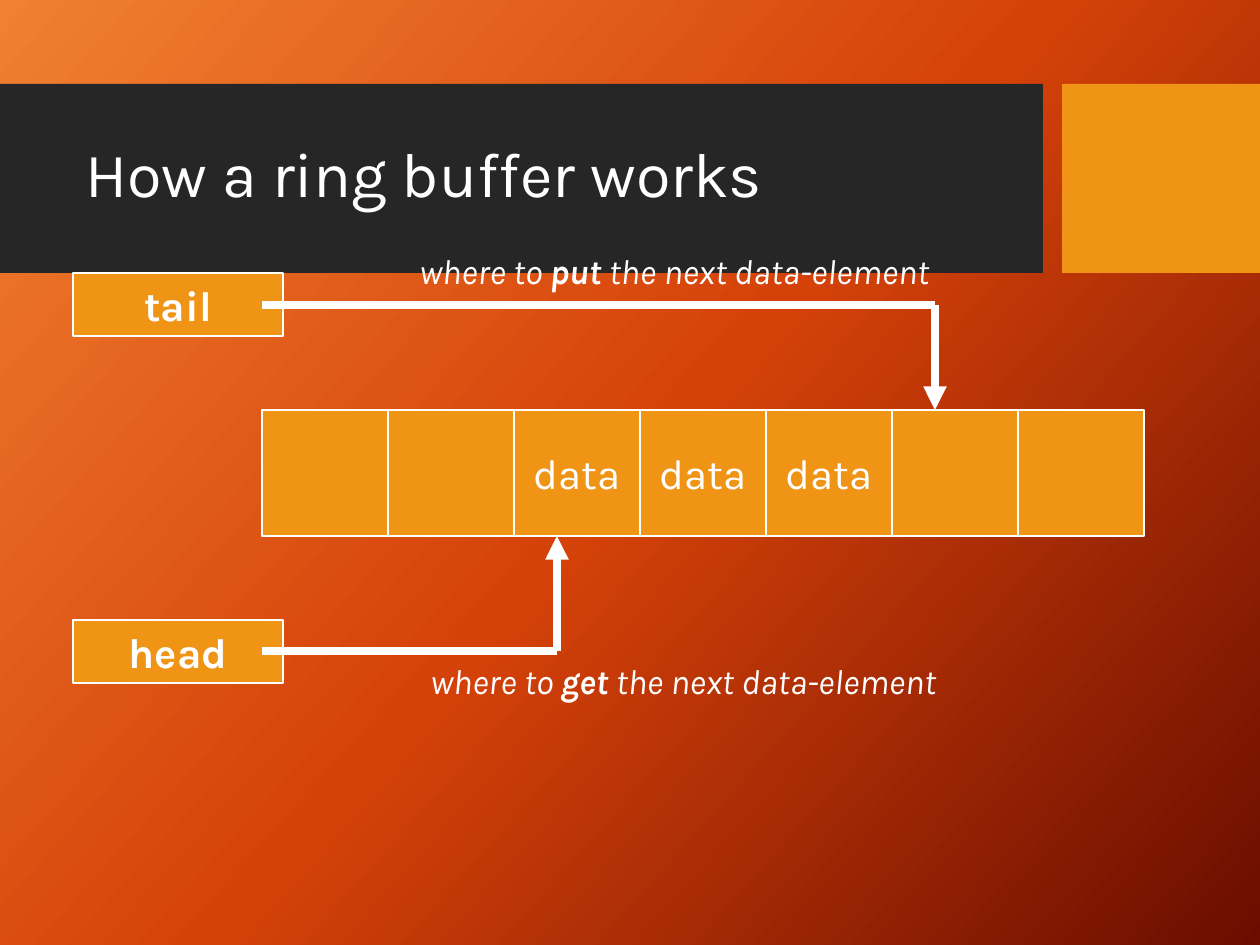
from copy import deepcopy

from pptx import Presentation
from pptx.dml.color import RGBColor
from pptx.enum.shapes import MSO_CONNECTOR, MSO_SHAPE
from pptx.enum.text import MSO_ANCHOR, MSO_AUTO_SIZE, PP_ALIGN
from pptx.oxml.ns import qn
from pptx.util import Pt
from lxml import etree

RECTANGLE = MSO_SHAPE.RECTANGLE
STRAIGHT = MSO_CONNECTOR.STRAIGHT
MIDDLE = MSO_ANCHOR.MIDDLE
CENTER = PP_ALIGN.CENTER
FIT_SHAPE = MSO_AUTO_SIZE.SHAPE_TO_FIT_TEXT

EMU_PER_PX = 914400 / 126
FONT = "Karla"
WHITE = RGBColor(0xFF, 0xFF, 0xFF)
CHARCOAL = RGBColor(0x26, 0x26, 0x26)
AMBER = RGBColor(0xF0, 0x94, 0x15)
GRADIENT = [
    RGBColor(0xF1, 0x80, 0x31),
    RGBColor(0xD5, 0x42, 0x09),
    RGBColor(0x6A, 0x0D, 0x00),
]

CELL = 126
CELLS_LEFT, CELLS_TOP = 262, 410
CELL_TEXTS = ["", "", "data", "data", "data", "", ""]


def px(*lengths):
    return [round(length * EMU_PER_PX) for length in lengths]


def set_font(paragraph, size, bold=False, italic=False):
    font = paragraph.font
    font.name, font.size = FONT, Pt(size)
    font.color.rgb = WHITE
    font.italic = italic
    if bold:
        font.bold = True


def paint_background(slide):
    fill = slide.background.fill
    fill.gradient()
    fill.gradient_angle = 360 - 42
    last_stop = list(slide.element.iter(qn("a:gs")))[-1]
    last_stop.addprevious(deepcopy(last_stop))
    for number, (stop, color) in enumerate(zip(fill.gradient_stops, GRADIENT)):
        stop.position = number / 2
        stop.color.rgb = color


def add_box(slide, left, top, width, height, fill=AMBER, outlined=True,
            text="", bold=False):
    box = slide.shapes.add_shape(RECTANGLE, *px(left, top, width, height))
    box.shadow.inherit = False
    box.fill.solid()
    box.fill.fore_color.rgb = fill
    if outlined:
        box.line.color.rgb = WHITE
        box.line.width = Pt(0.75)
    else:
        box.line.fill.background()
    if text:
        frame = box.text_frame
        frame.word_wrap = False
        frame.vertical_anchor = MIDDLE
        paragraph = frame.paragraphs[0]
        paragraph.text = text
        paragraph.alignment = CENTER
        set_font(paragraph, 24, bold)


def add_title(slide, text):
    frame = slide.shapes.add_textbox(*px(73, 103, 950, 149)).text_frame
    frame.word_wrap = True
    frame.vertical_anchor = MIDDLE
    paragraph = frame.paragraphs[0]
    paragraph.text = text
    paragraph.line_spacing = 0.9
    set_font(paragraph, 36)


def add_line(slide, start, end, arrow=False):
    line = slide.shapes.add_connector(STRAIGHT, *px(*start, *end))
    line.line.color.rgb = WHITE
    line.line.width = Pt(4.5)
    properties = line.element.spPr
    if arrow:
        outline = properties.find(qn("a:ln"))
        etree.SubElement(outline, qn("a:tailEnd"), type="triangle")
    etree.SubElement(properties, qn("a:effectLst"))


def add_pointer(slide, name, box_top, corner, target_y):
    """Name box with an elbow arrow leading to its cell."""
    add_box(slide, 73, box_top, 210, 63, text=name, bold=True)
    add_line(slide, corner, (corner[0], target_y), arrow=True)
    add_line(slide, (CELLS_LEFT, corner[1]), corner)


def add_caption(slide, left, top, verb):
    frame = slide.shapes.add_textbox(*px(left, top, 570, 54)).text_frame
    frame.word_wrap = False
    frame.auto_size = FIT_SHAPE
    paragraph = frame.paragraphs[0]
    set_font(paragraph, 20, italic=True)
    for text in ("where to ", verb, " the next data-element"):
        run = paragraph.add_run()
        run.text = text
        run.font.bold = text == verb


def main():
    presentation = Presentation()
    presentation.slide_width, presentation.slide_height = px(1260, 945)
    slide = presentation.slides.add_slide(presentation.slide_layouts[6])
    paint_background(slide)

    # Title band
    add_box(slide, 0, 84, 1043, 189, fill=CHARCOAL, outlined=False)
    add_box(slide, 1062, 84, 198, 189, outlined=False)
    add_title(slide, "How a ring buffer works")

    # Buffer cells
    for index, text in enumerate(CELL_TEXTS):
        add_box(slide, CELLS_LEFT + index * CELL, CELLS_TOP, CELL, CELL, text=text)

    # Pointers into the buffer
    add_pointer(slide, "tail", 273, (935, 305), CELLS_TOP)
    add_pointer(slide, "head", 620, (557, 651), CELLS_TOP + CELL)
    add_caption(slide, 407, 243, "put")
    add_caption(slide, 418, 653, "get")

    presentation.save("out.pptx")


if __name__ == "__main__":
    main()
